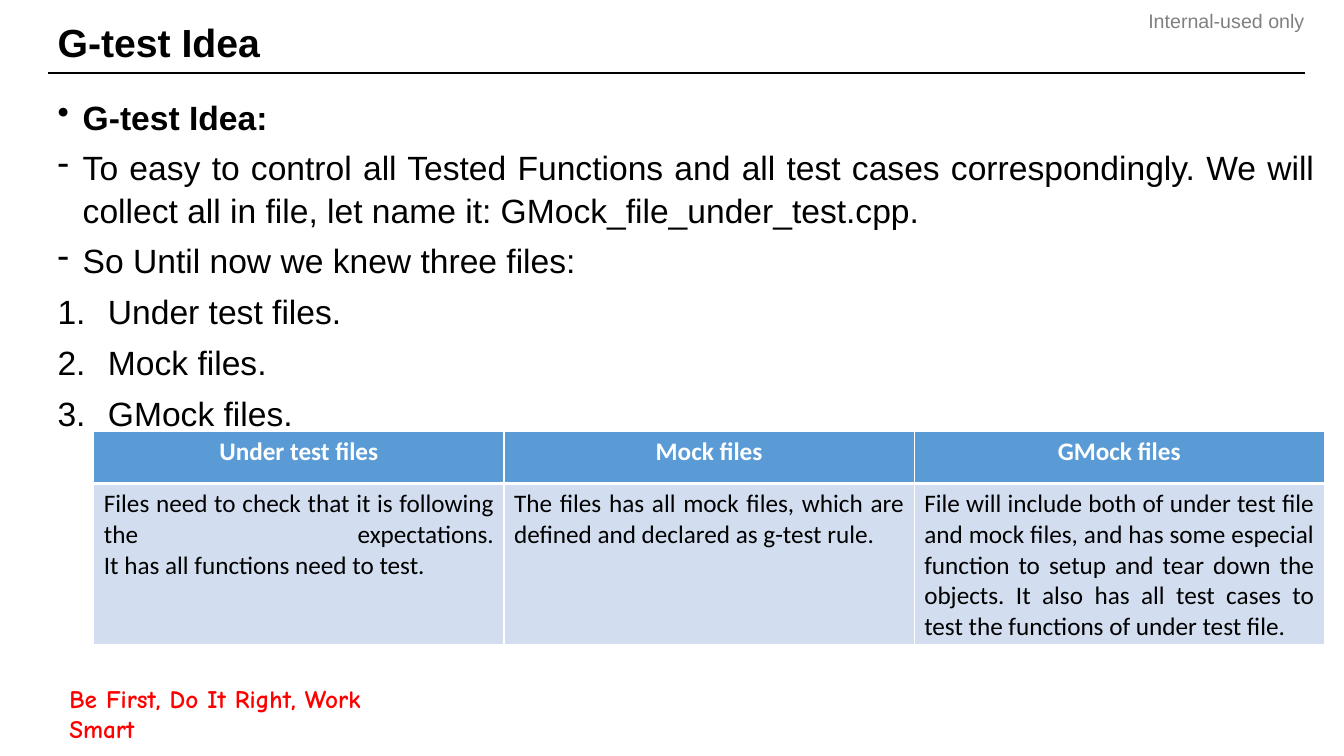
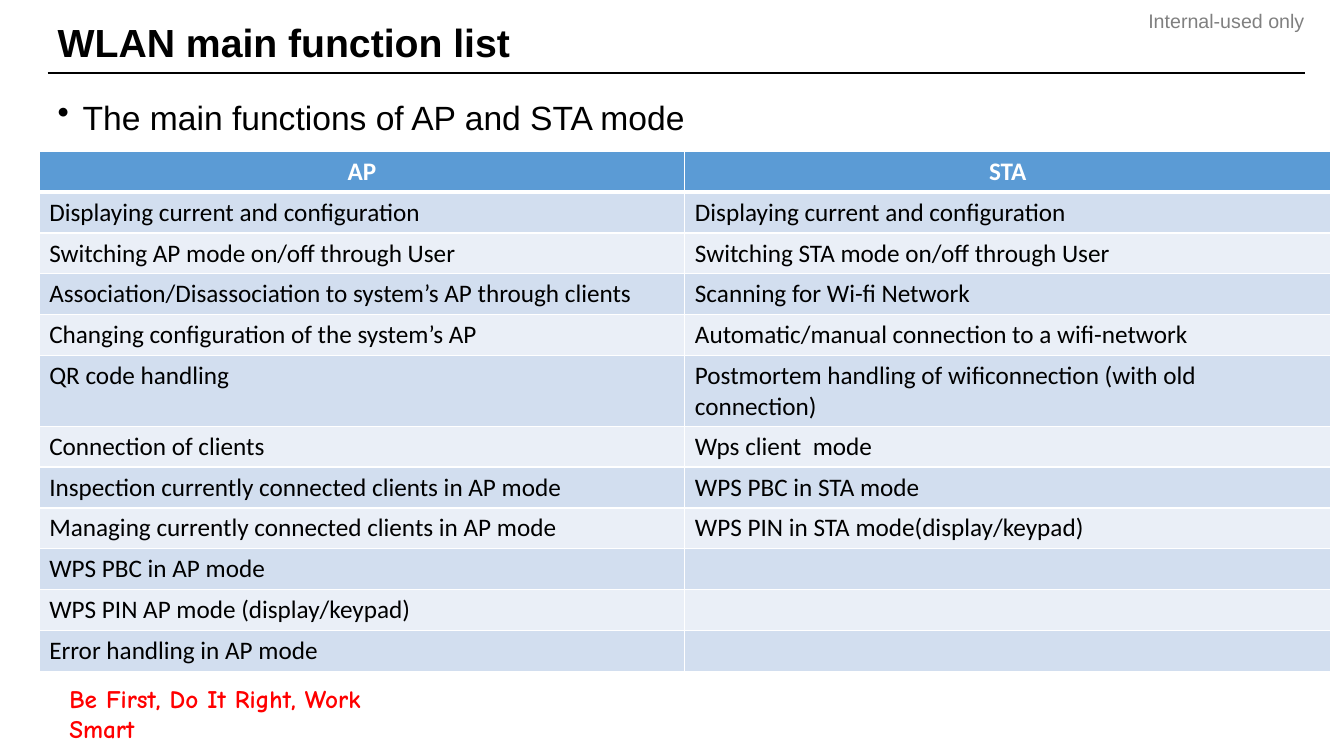
from lxml.etree import SubElement
from pptx import Presentation
from pptx.dml.color import RGBColor
from pptx.enum.shapes import MSO_CONNECTOR
from pptx.enum.text import MSO_ANCHOR, MSO_AUTO_SIZE, PP_ALIGN
from pptx.oxml import parse_xml
from pptx.oxml.ns import nsdecls, qn
from pptx.util import Pt

BLACK = RGBColor(0x00, 0x00, 0x00)
WHITE = RGBColor(0xFF, 0xFF, 0xFF)
GRAY = RGBColor(0x80, 0x80, 0x80)
RED = RGBColor(0xFF, 0x00, 0x00)
HEADER_BLUE = RGBColor(0x5B, 0x9B, 0xD5)
BANDS = (RGBColor(0xD2, 0xDE, 0xEF), RGBColor(0xEA, 0xEF, 0xF7))

TITLE_BOX = (34, 6, 898, 52.6)
LABEL_BOX = (765.4, 6.5, 166.4, 17)
MOTTO_BOX = (42.5, 501, 257, 17.3)
RULE = (34, 52, 932, 52)

BULLETS = {
    "dot": (18, '<a:buChar {} char="•"/>'),
    "dash": (18, '<a:buChar {} char="-"/>'),
    "number": (36, '<a:buAutoNum {} type="arabicPeriod"/>'),
}

IDEA_LINES = [
    ("dot", "G-test Idea:", True, None),
    ("dash", "To easy to control all Tested Functions and all test cases "
             "correspondingly. We will collect all in file, let name it: "
             "GMock_file_under_test.cpp.", False, PP_ALIGN.JUSTIFY),
    ("dash", "So Until now we knew three files:", False, PP_ALIGN.JUSTIFY),
    ("number", "Under test files.", False, PP_ALIGN.JUSTIFY),
    ("number", "Mock files.", False, PP_ALIGN.JUSTIFY),
    ("number", "GMock files.", False, PP_ALIGN.JUSTIFY),
]
FILE_ROWS = [
    ("Under test files", "Mock files", "GMock files"),
    ("Files need to check that it is following the expectations.\n"
     "It has all functions need to test.",
     "The files has all mock files, which are defined and declared as "
     "g-test rule.",
     "File will include both of under test file and mock files, and has some "
     "especial function to setup and tear down the objects. It also has all "
     "test cases to test the functions of under test file."),
]
WLAN_LINES = [("dot", "The main functions of AP and STA mode", False, None)]
WLAN_ROWS = [
    ("AP", "STA"),
    ("Displaying current and configuration",
     "Displaying current and configuration"),
    ("Switching AP mode on/off through User",
     "Switching STA mode on/off through User"),
    ("Association/Disassociation to system’s AP through clients",
     "Scanning for Wi-fi Network"),
    ("Changing configuration of the system’s AP",
     "Automatic/manual connection to a wifi-network"),
    ("QR code handling",
     "Postmortem handling of wificonnection (with old connection)"),
    ("Connection of clients", "Wps client  mode"),
    ("Inspection currently connected clients in AP mode",
     "WPS PBC in STA mode"),
    ("Managing currently connected clients in AP mode",
     "WPS PIN in STA mode(display/keypad)"),
    ("WPS PBC in AP mode", ""),
    ("WPS PIN AP mode (display/keypad)", ""),
    ("Error handling in AP mode", ""),
]


def points(box):
    return [Pt(v) for v in box]


def set_font(font, name, size, color, bold=False):
    font.name = name
    font.size = Pt(size)
    font.bold = bold
    font.color.rgb = color


def add_text_box(s, box):
    tf = s.shapes.add_textbox(*points(box)).text_frame
    tf.word_wrap = True
    return tf


def add_label(s, box):
    tf = add_text_box(s, box)
    tf.margin_left = tf.margin_right = tf.margin_top = tf.margin_bottom = 0
    tf.auto_size = MSO_AUTO_SIZE.SHAPE_TO_FIT_TEXT
    p = tf.paragraphs[0]
    p.text = "Internal-used only"
    p.alignment = PP_ALIGN.RIGHT
    set_font(p.font, "Arial", 14, GRAY)


def add_motto(s, box):
    tf = add_text_box(s, box)
    tf.vertical_anchor = MSO_ANCHOR.MIDDLE
    r = tf.paragraphs[0].add_run()
    r.text = "Be First, Do It Right, Work Smart"
    set_font(r.font, "Comic Neue", 18, RED, True)
    outline = parse_xml(
        f'<a:ln {nsdecls("a")} w="9525"><a:solidFill>'
        f'<a:srgbClr val="{RED}"/></a:solidFill></a:ln>')
    r._r.get_or_add_rPr().insert(0, outline)


def add_rule(s, ends):
    line = s.shapes.add_connector(MSO_CONNECTOR.STRAIGHT, *points(ends))
    line.line.color.rgb = BLACK
    line.line.width = Pt(1.5)
    SubElement(line.element.spPr, qn("a:effectLst"))


def set_title(s, text, box):
    title = s.shapes.title
    title.left, title.top, title.width, title.height = points(box)
    tf = title.text_frame
    tf.auto_size = MSO_AUTO_SIZE.NONE
    tf.vertical_anchor = MSO_ANCHOR.MIDDLE
    p = tf.paragraphs[0]
    p.text = text
    p.alignment = PP_ALIGN.LEFT
    p.line_spacing = 0.9
    set_font(p.font, "Arial", 28, BLACK, True)


def add_body(s, lines, box):
    tf = add_text_box(s, box)
    for i, (bullet, text, bold, align) in enumerate(lines):
        p = tf.add_paragraph() if i else tf.paragraphs[0]
        p.text = text
        p.alignment = align
        p.space_before = Pt(6)
        p.line_spacing = 1.05
        set_font(p.font, "Arial", 24, BLACK, bold)
        indent, xml = BULLETS[bullet]
        pPr = p._p.get_or_add_pPr()
        pPr.set("marL", str(Pt(indent)))
        pPr.set("indent", str(-Pt(indent)))
        pPr.insert_element_before(
            parse_xml(xml.format(nsdecls("a"))), "a:defRPr")


def set_borders(cell, top, bottom):
    tcPr = cell._tc.get_or_add_tcPr()
    for side, width in (("L", 1), ("R", 1), ("T", top), ("B", bottom)):
        tcPr.append(parse_xml(
            f'<a:ln{side} {nsdecls("a")} w="{Pt(width)}"><a:solidFill>'
            f'<a:srgbClr val="{WHITE}"/></a:solidFill></a:ln{side}>'))


def add_grid(s, rows, box, heights, body_align):
    table = s.shapes.add_table(len(rows), len(rows[0]), *points(box)).table
    table.horz_banding = False
    for i, row in enumerate(rows):
        header = i == 0
        table.rows[i].height = Pt(heights[i])
        for j, text in enumerate(row):
            cell = table.cell(i, j)
            set_borders(cell, 3 if i == 1 else 1, 3 if header else 1)
            cell.fill.solid()
            cell.fill.fore_color.rgb = (
                HEADER_BLUE if header else BANDS[(i - 1) % 2])
            p = cell.text_frame.paragraphs[0]
            p.text = text
            p.alignment = PP_ALIGN.CENTER if header else body_align
            set_font(p.font, "Calibri", 18, WHITE if header else BLACK, header)


def add_slide(prs, title):
    s = prs.slides.add_slide(prs.slide_layouts[5])
    add_label(s, LABEL_BOX)
    add_motto(s, MOTTO_BOX)
    add_rule(s, RULE)
    set_title(s, title, TITLE_BOX)
    return s


def build_idea_slide(prs):
    s = add_slide(prs, "G-test Idea")
    add_body(s, IDEA_LINES, (34, 64, 912, 273.6))
    add_grid(s, FILE_ROWS, (67, 308, 879, 128.8), (37.4, 91.4),
             PP_ALIGN.JUSTIFY)


def build_wlan_slide(prs):
    s = add_slide(prs, "WLAN main function list")
    add_body(s, WLAN_LINES, (34, 64, 898, 42.5))
    heights = [29.2] * len(WLAN_ROWS)
    add_grid(s, WLAN_ROWS, (28, 108, 922.4, sum(heights)), heights,
             PP_ALIGN.LEFT)


def main():
    prs = Presentation()
    prs.slide_width, prs.slide_height = Pt(960), Pt(540)
    build_idea_slide(prs)
    build_wlan_slide(prs)
    prs.save("out.pptx")


if __name__ == "__main__":
    main()
